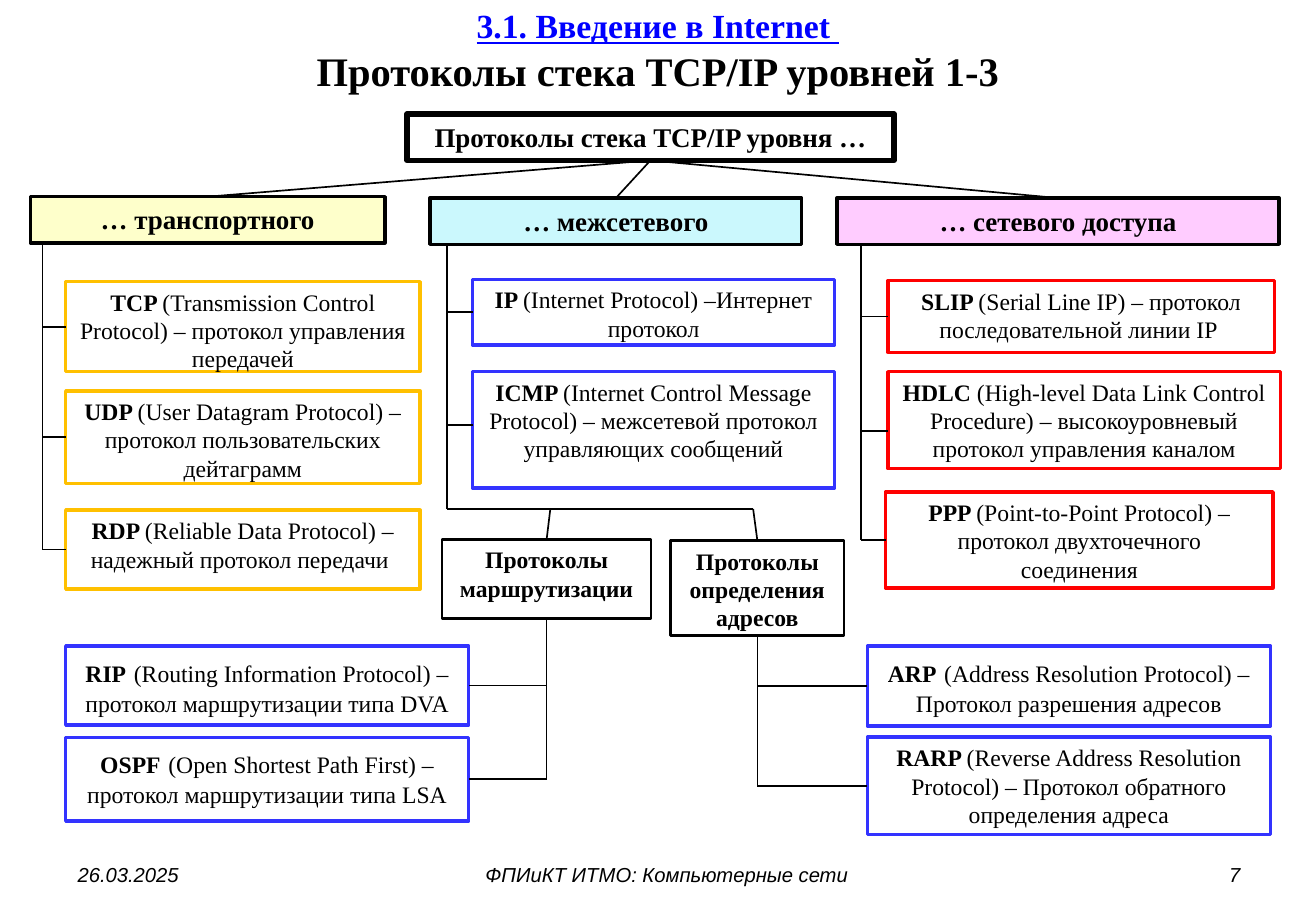
from lxml import etree
from pptx import Presentation
from pptx.dml.color import RGBColor
from pptx.enum.shapes import MSO_CONNECTOR, MSO_SHAPE
from pptx.enum.text import MSO_ANCHOR, MSO_AUTO_SIZE, PP_ALIGN
from pptx.oxml.ns import qn
from pptx.util import Pt

RECT = MSO_SHAPE.RECTANGLE
LINE = MSO_CONNECTOR.STRAIGHT
TOP, MIDDLE = MSO_ANCHOR.TOP, MSO_ANCHOR.MIDDLE
LEFT, CENTER, RIGHT = PP_ALIGN.LEFT, PP_ALIGN.CENTER, PP_ALIGN.RIGHT
NO_FIT = MSO_AUTO_SIZE.NONE
SITE_TOP, SITE_LEFT, SITE_BOTTOM, SITE_RIGHT = range(4)

BLACK = RGBColor(0x00, 0x00, 0x00)
WHITE = RGBColor(0xFF, 0xFF, 0xFF)
LINK = RGBColor(0x00, 0x00, 0xFF)
CREAM = RGBColor(0xFE, 0xFF, 0xCB)
AQUA = RGBColor(0xCB, 0xF8, 0xFD)
PINK = RGBColor(0xFF, 0xCC, 0xFF)
GOLD = RGBColor(0xFF, 0xC0, 0x00)
BLUE = RGBColor(0x33, 0x33, 0xFF)
RED = RGBColor(0xFF, 0x00, 0x00)
SERIF, SANS = "Times New Roman", "Arial"


def style(run, size, bold=False, italic=False, color=BLACK, face=SERIF):
    font = run.font
    font.name, font.size = face, Pt(size)
    font.bold, font.italic = bold, italic
    font.color.rgb = color


def add_box(slide, box, edge, width, name, note="", fill=WHITE, size=14, gap=14):
    """Draw a framed box with a bold name and an optional plain note."""
    shape = slide.shapes.add_shape(RECT, *map(Pt, box))
    shape.shadow.inherit = False
    shape.fill.solid()
    shape.fill.fore_color.rgb = fill
    shape.line.color.rgb = edge
    shape.line.width = Pt(width)
    frame = shape.text_frame
    frame.word_wrap = True
    frame.vertical_anchor = TOP
    par = frame.paragraphs[0]
    par.text = name
    par.alignment = CENTER
    style(par.runs[0], size, bold=True)
    if note:
        for text, points, bold in ((" ", gap, True), (note, size, False)):
            run = par.add_run()
            run.text = text
            style(run, points, bold, italic=points != size)
    return shape


def wire(slide, start, end, head=None, tail=None):
    """Draw a line; head and tail are (shape, site) joints."""
    line = slide.shapes.add_connector(LINE, *map(Pt, start + end))
    line.line.color.rgb = BLACK
    line.line.width = Pt(1)
    etree.SubElement(line._element.spPr, qn("a:effectLst"))
    if head:
        line.begin_connect(*head)
    if tail:
        line.end_connect(*tail)


def add_title(slide, box):
    title = slide.shapes.title
    title.left, title.top, title.width, title.height = map(Pt, box)
    frame = title.text_frame
    frame.text = "3.1. Введение в Internet \vПротоколы стека TCP/IP уровней 1-3"
    frame.auto_size = NO_FIT
    frame.vertical_anchor = MIDDLE
    par = frame.paragraphs[0]
    par.alignment = CENTER
    par.space_after = Pt(6)
    style(par.runs[0], 20, bold=True, color=LINK)
    par.runs[0].font.underline = True
    style(par.runs[1], 24, bold=True)


def add_column(slide, box, name, fill, edge, stem, items, foot=None):
    """Draw a level header with its protocols; items are relative to the box."""
    x, y, w, h = box
    head = add_box(slide, box, BLACK, 2, name, fill=fill, size=16)
    for dx, dy, wide, high, tick, short, note in items:
        part = add_box(slide, (x + dx, y + dy, wide, high), edge, 2, short, note)
        mid = y + dy + (tick or high / 2)
        joint = None if tick else (part, SITE_LEFT)
        wire(slide, (x + stem, mid), (x + dx, mid), tail=joint)
    wire(slide, (x + stem, y + h), (x + stem, foot or mid))
    return head


def add_branch(slide, box, name, drop, leaves, side):
    """Draw a protocol group hung from a point, with leaves on one side."""
    x, y, w, h = box
    mid = x + w / 2
    group = add_box(slide, box, BLACK, 1.5, name)
    wire(slide, drop, (mid, y), tail=(group, SITE_TOP))
    for dx, dy, wide, high, gap, short, note in leaves:
        leaf = add_box(slide, (x + dx, y + dy, wide, high), BLUE, 2, short, note, gap=gap)
        level = y + dy + high / 2
        edge = x + dx + (wide if side == SITE_RIGHT else 0)
        wire(slide, (mid, level), (edge, level), tail=(leaf, side))
    wire(slide, (mid, y + h), (mid, level), head=(group, SITE_BOTTOM))


def add_footer(slide, box):
    x, y, w, h = box
    parts = ((0, 182, LEFT, "26.03.2025"),
             (202.3, 308.2, CENTER, "ФПИиКТ ИТМО: Компьютерные сети"),
             (w - 182, 182, RIGHT, "7"))
    for dx, wide, align, text in parts:
        label = slide.shapes.add_textbox(Pt(x + dx), Pt(y), Pt(wide), Pt(h))
        label.text_frame.word_wrap = True
        par = label.text_frame.paragraphs[0]
        par.text = text
        par.alignment = align
        style(par.runs[0], 12, italic=True, face=SANS)


def add_chart_tree(slide, box):
    """Draw the root, the three levels and the two lower groups."""
    x, y, w, h = box
    root = add_box(slide, (x + 223.2, y, 288.7, 27.4), BLACK, 3.25,
                   "Протоколы стека TCP/IP уровня …", size=16)
    bus = y + 234
    stem = 10.1
    # Transport, internet and access levels
    heads = (
        add_column(slide, (x, y + 48.9, 210.2, 27.4), "… транспортного", CREAM, GOLD, 7.2, (
            (20.9, 50.4, 210.2, 53.3, None, "TCP",
             "(Transmission Control Protocol) – протокол управления передачей"),
            (20.9, 115.2, 210.2, 54.7, None, "UDP",
             "(User Datagram Protocol) –протокол пользовательских дейтаграмм"),
            (20.9, 185.8, 210.2, 46.8, None, "RDP",
             "(Reliable Data Protocol) – надежный протокол передачи "))),
        add_column(slide, (x + 236.9, y + 49.7, 220.3, 27.4), "… межсетевого", AQUA, BLUE, stem, (
            (25.2, 48.2, 214.6, 38.9, None, "IP",
             "(Internet Protocol) –Интернет протокол"),
            (25.2, 102.9, 214.6, 69.1, 31.7, "ICMP",
             "(Internet Control Message Protocol) – межсетевой протокол "
             "управляющих сообщений")), bus),
        add_column(slide, (x + 478.1, y + 49.7, 262.1, 27.4), "… сетевого доступа", PINK, RED, 14.4, (
            (30.2, 48.9, 229, 42.5, None, "SLIP",
             "(Serial Line IP) – протокол последовательной линии IP "),
            (30.2, 102.9, 232.6, 57.6, 35.3, "HDLC",
             "(High-level Data Link Control Procedure) – высокоуровневый "
             "протокол управления каналом"),
            (28.8, 174.2, 229.7, 56.9, None, "PPP",
             "(Point-to-Point Protocol) – протокол двухточечного соединения"))),
    )
    for head in heads:
        wire(slide, (x, y), (x, y), (root, SITE_BOTTOM), (head, SITE_TOP))
    # Routing and address groups under the internet level
    wire(slide, (x + 236.9 + stem, bus), (x + 428.4, bus))
    add_branch(slide, (x + 244.1, y + 252, 123.8, 46.8), "Протоколы маршрутизации",
               (x + 308.2, bus), (
        (-223.2, 63.3, 239, 46.8, 18, "RIP",
         "(Routing Information Protoсol) – протокол маршрутизации типа DVA"),
        (-223.2, 117.3, 239, 49.7, 18, "OSPF",
         "(Open Shortest Path First) – протокол маршрутизации типа LSA")), SITE_RIGHT)
    add_branch(slide, (x + 379.4, y + 252.7, 103, 56.2), "Протоколы определения адресов",
               (x + 428.4, bus), (
        (116.7, 62.6, 239, 47.5, 18, "ARP",
         "(Address Resolution Protocol) – Протокол разрешения адресов"),
        (116.7, 116.6, 239, 57.6, 14, "RARP",
         "(Reverse Address Resolution Protocol) – Протокол обратного "
         "определения адреса")), SITE_LEFT)


def main():
    deck = Presentation()
    deck.slide_width, deck.slide_height = Pt(780), Pt(540)
    slide = deck.slides.add_slide(deck.slide_layouts[5])
    add_title(slide, (38.9, 5, 702, 49))
    add_chart_tree(slide, (18, 67.7, 740, 427))
    add_footer(slide, (38.9, 507.6, 703.4, 21.6))
    deck.save("out.pptx")


if __name__ == "__main__":
    main()
